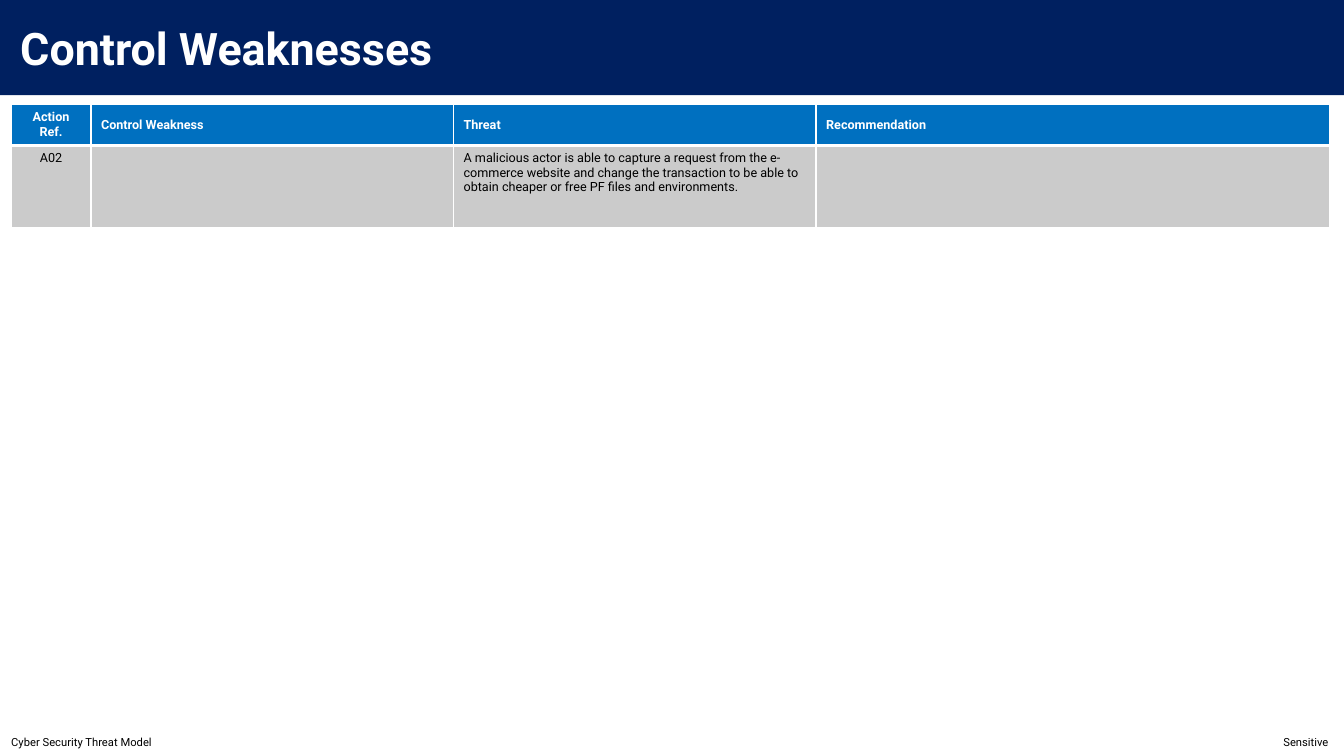
from lxml.etree import SubElement
from pptx import Presentation
from pptx.dml.color import RGBColor
from pptx.enum.text import MSO_ANCHOR, MSO_AUTO_SIZE, PP_ALIGN
from pptx.oxml.ns import qn
from pptx.util import Pt

SLIDE_WIDTH, SLIDE_HEIGHT = 960, 540
FONT = "Roboto"
WHITE, BLACK = "FFFFFF", "000000"
NAVY, BLUE, GREY = "002060", "0070C0", "CBCBCB"
THIN, THICK = 1, 3

COLUMN_WIDTHS = [57, 259, 259, 367]
ROW_HEIGHTS = [29.5, 58.5]
WEAKNESSES = [
    ["Action Ref.", "Control Weakness", "Threat", "Recommendation"],
    ["A02", "",
     "A malicious actor is able to capture a request from the e-commerce website "
     "and change the transaction to be able to obtain cheaper or free PF files "
     "and environments.", ""],
]


def color(value):
    return RGBColor.from_string(value)


def format_text(paragraph, size, text_color, bold=False, align=PP_ALIGN.LEFT):
    paragraph.alignment = align
    for font in [paragraph.font] + [run.font for run in paragraph.runs]:
        font.name = FONT
        font.size = Pt(size)
        font.bold = bold
        font.color.rgb = color(text_color)


def add_title(slide, left, top, width, height):
    title = slide.shapes.title
    title.left, title.top, title.width, title.height = map(Pt, (left, top, width, height))
    title.fill.solid()
    title.fill.fore_color.rgb = color(NAVY)
    frame = title.text_frame
    frame.text = "Control Weaknesses"
    frame.auto_size = MSO_AUTO_SIZE.NONE
    frame.vertical_anchor = MSO_ANCHOR.MIDDLE
    frame.margin_left = Pt(14.4)
    format_text(frame.paragraphs[0], 32, WHITE, bold=True)


def add_footer(slide, left, top, width, height):
    """Place both labels on one line, the second at a right-aligned tab stop."""
    footer = slide.shapes.add_textbox(*map(Pt, (left, top, width, height)))
    frame = footer.text_frame
    frame.word_wrap = True
    frame.vertical_anchor = MSO_ANCHOR.MIDDLE
    frame.margin_left = Pt(8)
    frame.text = "Cyber Security Threat Model\tSensitive"
    labels = frame.paragraphs[0]
    format_text(labels, 8, BLACK)
    properties = labels._p.get_or_add_pPr()
    stops = properties.makeelement(qn("a:tabLst"))
    SubElement(stops, qn("a:tab"), pos=str(Pt(width - 19)), algn="r")
    properties.insert(0, stops)


def set_borders(cell, top, bottom):
    properties = cell._tc.get_or_add_tcPr()
    for side, weight in zip("LRTB", (THIN, THIN, top, bottom)):
        line = SubElement(properties, qn(f"a:ln{side}"), w=str(Pt(weight)))
        fill = SubElement(line, qn("a:solidFill"))
        SubElement(fill, qn("a:srgbClr"), val=WHITE)


def add_weakness_table(slide, left, top):
    box = map(Pt, (left, top, sum(COLUMN_WIDTHS), sum(ROW_HEIGHTS)))
    table = slide.shapes.add_table(len(ROW_HEIGHTS), len(COLUMN_WIDTHS), *box).table
    for column, width in zip(table.columns, COLUMN_WIDTHS):
        column.width = Pt(width)
    for row_index, (row, height) in enumerate(zip(table.rows, ROW_HEIGHTS)):
        row.height = Pt(height)
        header = row_index == 0
        for column_index, cell in enumerate(row.cells):
            set_borders(cell, *((THIN, THICK) if header else (THICK, THIN)))
            cell.fill.solid()
            cell.fill.fore_color.rgb = color(BLUE if header else GREY)
            cell.vertical_anchor = MSO_ANCHOR.MIDDLE if header else MSO_ANCHOR.TOP
            cell.text_frame.text = WEAKNESSES[row_index][column_index]
            format_text(cell.text_frame.paragraphs[0], 9, WHITE if header else BLACK,
                        bold=header,
                        align=PP_ALIGN.LEFT if column_index else PP_ALIGN.CENTER)


def main():
    presentation = Presentation()
    presentation.slide_width = Pt(SLIDE_WIDTH)
    presentation.slide_height = Pt(SLIDE_HEIGHT)
    slide = presentation.slides.add_slide(presentation.slide_layouts.get_by_name("Title Only"))
    add_title(slide, 0, 0, SLIDE_WIDTH, 68)
    add_footer(slide, 0, 520.5, SLIDE_WIDTH, 19.5)
    add_weakness_table(slide, 8, 74.5)
    presentation.save("out.pptx")


if __name__ == "__main__":
    main()
